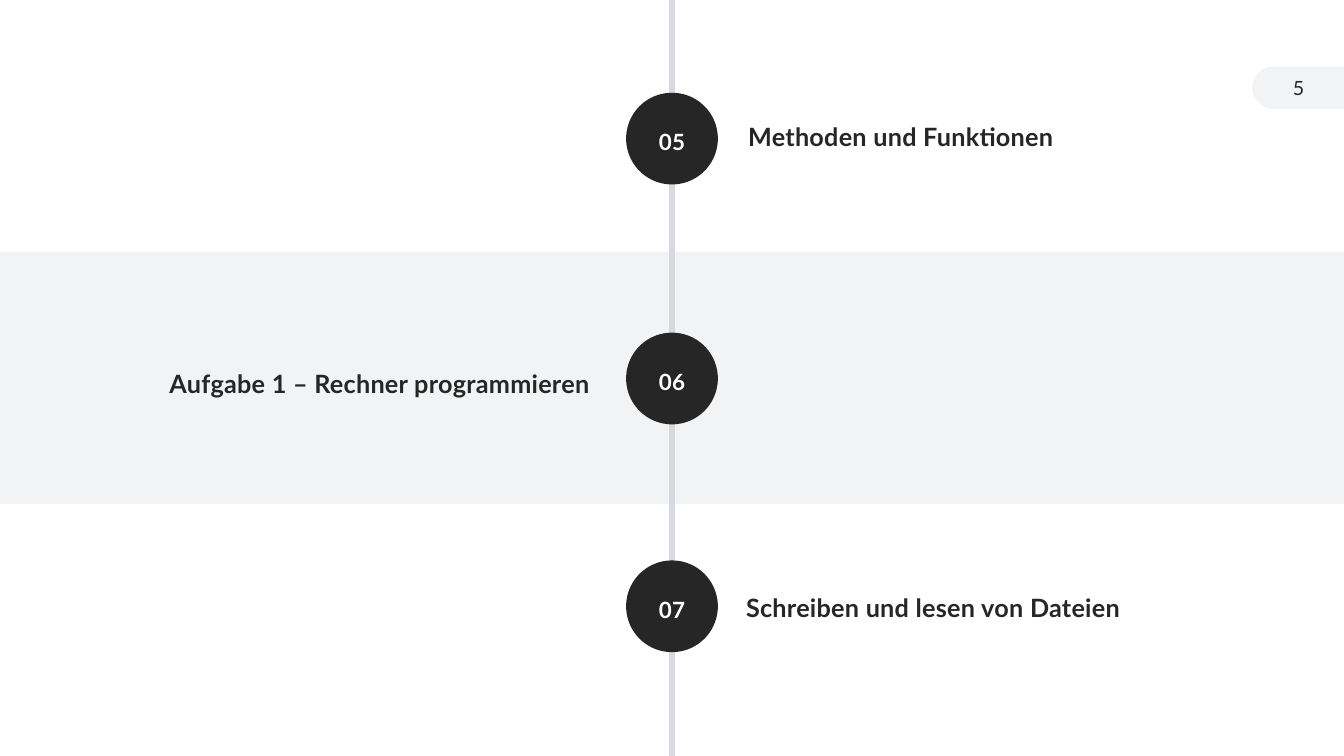
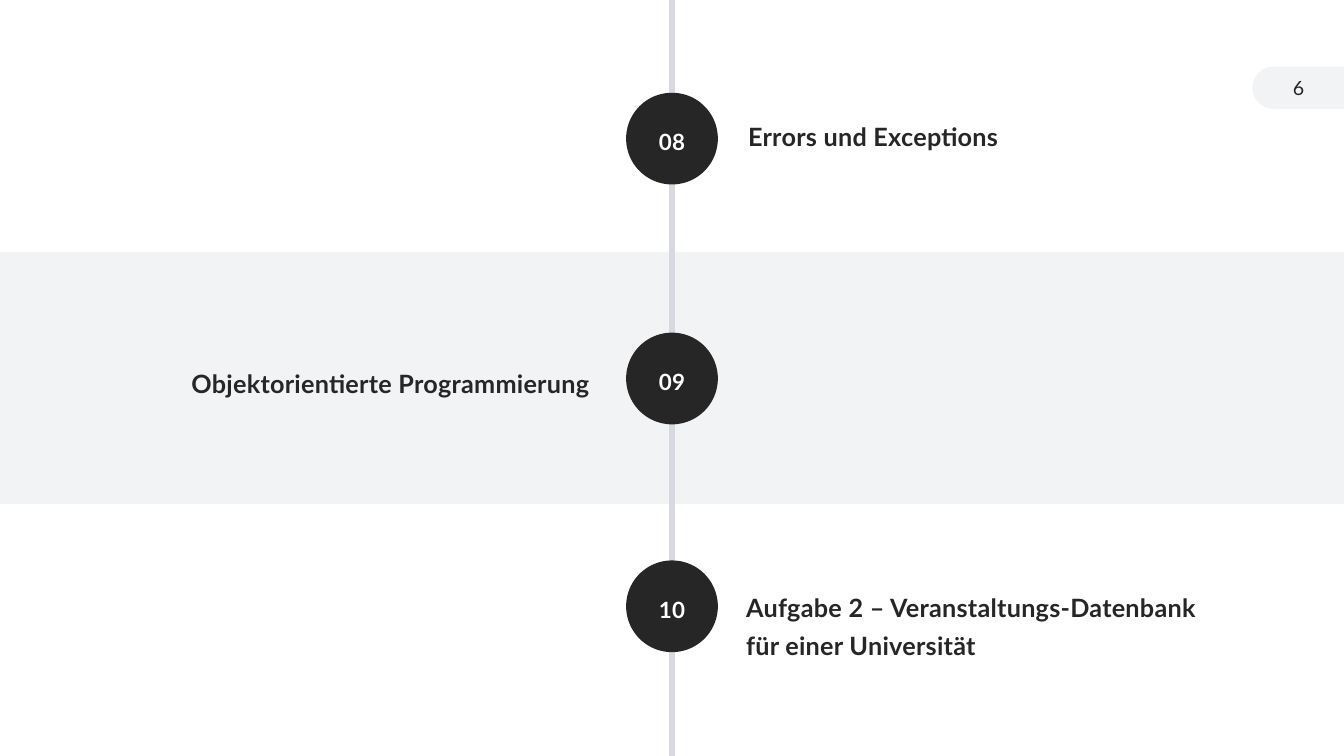
from pptx import Presentation
from pptx.dml.color import RGBColor
from pptx.enum.shapes import MSO_CONNECTOR, MSO_SHAPE
from pptx.enum.text import MSO_ANCHOR, MSO_AUTO_SIZE, PP_ALIGN
from pptx.oxml.ns import qn
from pptx.util import Inches, Pt
from lxml import etree

LEFT, CENTER, RIGHT = PP_ALIGN.LEFT, PP_ALIGN.CENTER, PP_ALIGN.RIGHT
TOP, MIDDLE = MSO_ANCHOR.TOP, MSO_ANCHOR.MIDDLE
FIT_SHAPE = MSO_AUTO_SIZE.SHAPE_TO_FIT_TEXT
RECTANGLE, OVAL = MSO_SHAPE.RECTANGLE, MSO_SHAPE.OVAL
TAB = MSO_SHAPE.ROUND_2_SAME_RECTANGLE
STRAIGHT = MSO_CONNECTOR.STRAIGHT

COLORS = {"pale": "F1F3F5", "line": "D6DAE0", "dark": "262626", "white": "FFFFFF"}
FONT = "Lato"
WIDTH, HEIGHT = 13.33, 7.5
MARKER = 0.91
LINE_STEP = 0.38

# Per row: marker top, then left, top, width and alignment of the label
ROWS = [
    (0.92, (7.42, 1.08, 3.67, LEFT)),
    (3.30, (1.06, 3.53, 4.79, RIGHT)),
    (5.56, (7.40, 5.75, 4.50, LEFT)),
]

# Per slide: page number, then number, text and line count of each topic
AGENDA = [
    (5, [("05", "Methoden und Funktionen", 1),
         ("06", "Aufgabe 1 – Rechner programmieren", 1),
         ("07", "Schreiben und lesen von Dateien", 1)]),
    (6, [("08", "Errors und Exceptions", 1),
         ("09", "Objektorientierte Programmierung", 1),
         ("10", "Aufgabe 2 – Veranstaltungs-Datenbank für einer Universität", 2)]),
]


def rgb(name):
    return RGBColor.from_string(COLORS[name])


class Deck:
    """Holds the presentation, its style and the current slide."""

    def __init__(self):
        self.prs = Presentation()
        self.prs.slide_width = Inches(WIDTH)
        self.prs.slide_height = Inches(HEIGHT)
        self.slide = None

    def shape(self, kind, left, top, width, height, color):
        shape = self.slide.shapes.add_shape(
            kind, Inches(left), Inches(top), Inches(width), Inches(height))
        shape.shadow.inherit = False
        shape.fill.solid()
        shape.fill.fore_color.rgb = rgb(color)
        shape.line.fill.background()
        return shape

    def set_text(self, shape, text, size, color="dark", align=LEFT, anchor=TOP,
                 inset=0.05, heading=True):
        """Fill a shape with one paragraph; headings are bold and spaced out."""
        frame = shape.text_frame
        frame_format = {
            "word_wrap": True, "vertical_anchor": anchor,
            "margin_left": 0, "margin_right": 0,
            "margin_top": Inches(inset), "margin_bottom": Inches(inset),
        }
        for name, value in frame_format.items():
            setattr(frame, name, value)
        paragraph = frame.paragraphs[0]
        paragraph.alignment = align
        run = paragraph.add_run()
        run.text = text
        font_format = {"name": FONT, "size": Pt(size), "bold": heading}
        for name, value in font_format.items():
            setattr(run.font, name, value)
        run.font.color.rgb = rgb(color)
        if heading:
            paragraph.line_spacing = 1.25
            run.font._element.set("spc", "20")

    def textbox(self, left, top, width, height):
        return self.slide.shapes.add_textbox(
            Inches(left), Inches(top), Inches(width), Inches(height))

    def page_tab(self, number):
        """Draw the tab at the right edge, a two-corner shape turned to the left."""
        left, top, width, height = 12.42, 0.66, 0.92, 0.42
        shift = (width - height) / 2
        tab = self.shape(TAB, left + shift, top - shift, height, width, "pale")
        tab.adjustments[0] = 0.5
        tab.rotation = 270
        self.set_text(self.textbox(left, top, width, height), str(number), 14,
                      align=CENTER, anchor=MIDDLE, heading=False)

    def timeline(self):
        center = Inches(WIDTH / 2)
        axis = self.slide.shapes.add_connector(
            STRAIGHT, center, 0, center, Inches(HEIGHT))
        axis.line.color.rgb = rgb("line")
        axis.line.width = Pt(4)
        etree.SubElement(axis._element.spPr, qn("a:effectLst"))

    def marker(self, top, number):
        circle = self.shape(OVAL, (WIDTH - MARKER) / 2, top, MARKER, MARKER, "dark")
        self.set_text(circle, number, 16, "white", CENTER, MIDDLE, inset=0)

    def label(self, left, top, width, align, text, lines):
        box = self.textbox(left, top, width, 0.44 + LINE_STEP * (lines - 1))
        self.set_text(box, text, 18, align=align)
        box.text_frame.auto_size = FIT_SHAPE

    def agenda_slide(self, page, topics):
        self.slide = self.prs.slides.add_slide(self.prs.slide_layouts[6])
        self.page_tab(page)
        self.shape(RECTANGLE, 0, HEIGHT / 3, WIDTH, HEIGHT / 3, "pale")
        self.timeline()
        for (marker_top, place), (number, text, lines) in zip(ROWS, topics):
            self.marker(marker_top, number)
            self.label(*place, text, lines)


def main():
    deck = Deck()
    for page, topics in AGENDA:
        deck.agenda_slide(page, topics)
    deck.prs.save("out.pptx")


if __name__ == "__main__":
    main()
